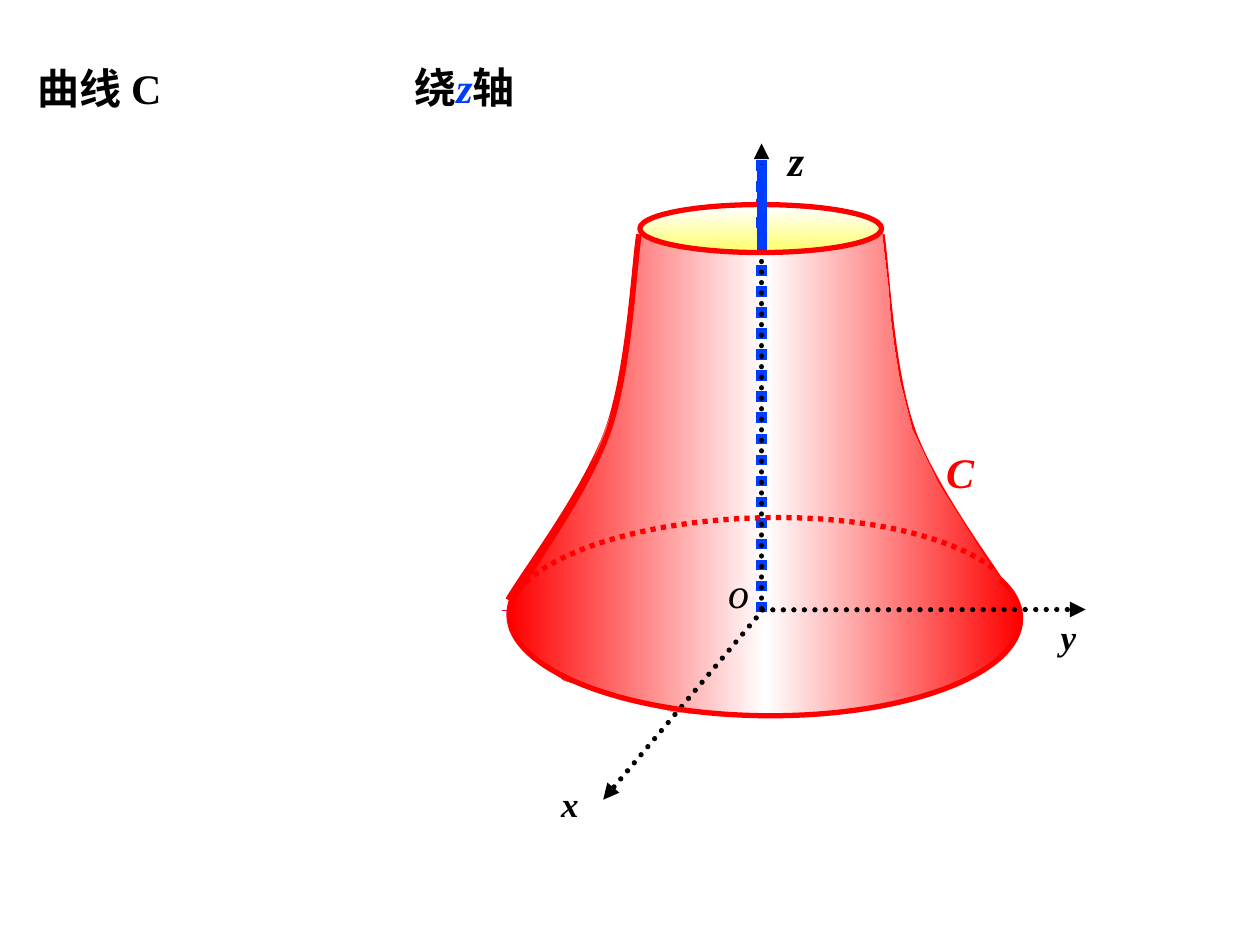
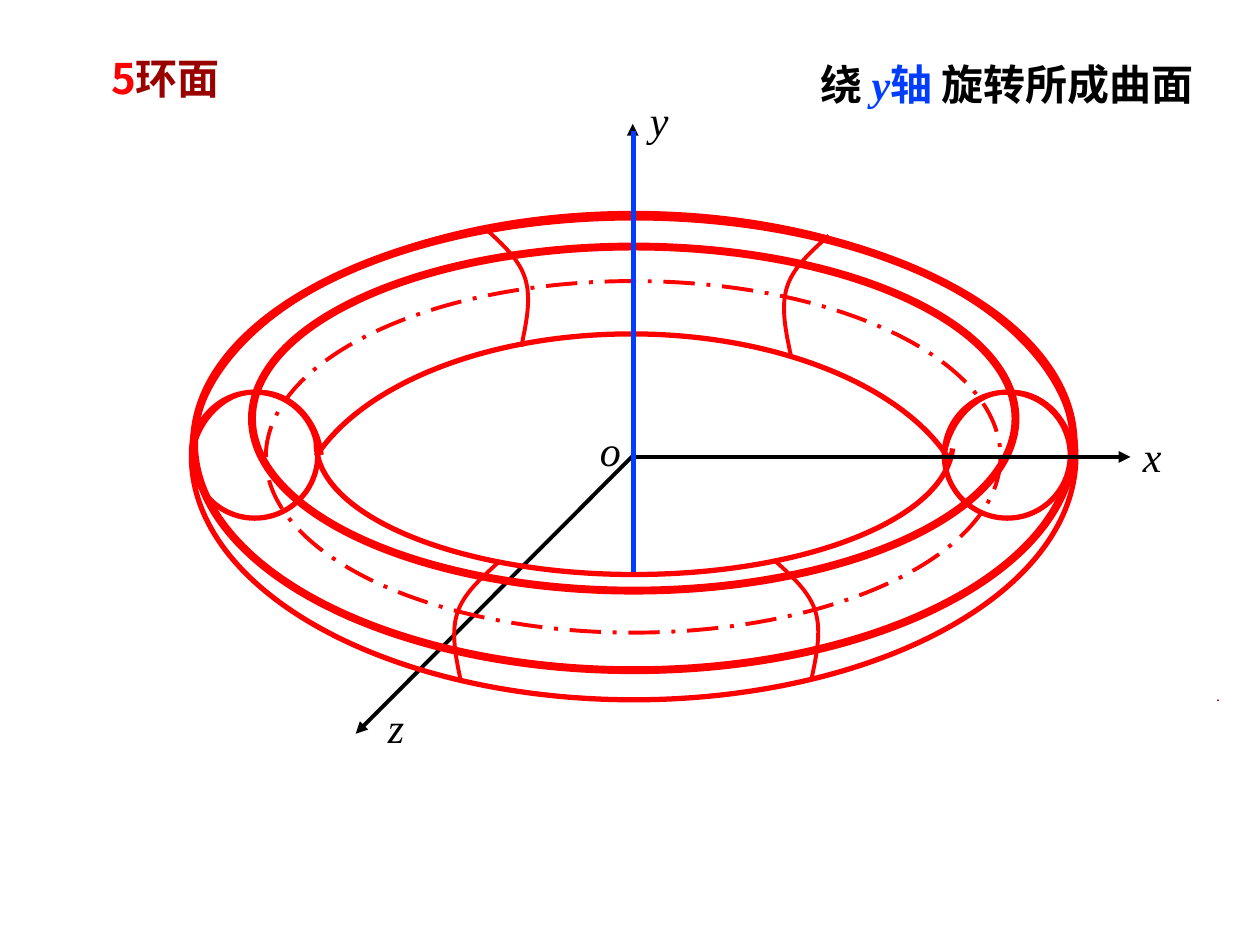
from copy import deepcopy

from lxml import etree
from pptx import Presentation
from pptx.dml.color import RGBColor
from pptx.enum import dml, shapes, text
from pptx.oxml.ns import qn
from pptx.util import Pt

# Shared look
BLACK = RGBColor(0x00, 0x00, 0x00)
WHITE = RGBColor(0xFF, 0xFF, 0xFF)
RED = RGBColor(0xFF, 0x00, 0x00)
DARK_RED = RGBColor(0x99, 0x00, 0x00)
MAGENTA = RGBColor(0xCC, 0x00, 0x66)
BLUE = RGBColor(0x01, 0x3D, 0xFF)
YELLOW = RGBColor(0xFF, 0xFF, 0x66)
SERIF, HAN, SANS = "Times New Roman", "Noto Sans CJK SC", "Arial"
DOTS = dml.MSO_LINE.ROUND_DOT
LONG_DASH_DOT = dml.MSO_LINE.LONG_DASH_DOT
LEFT, CENTER, RIGHT = text.PP_ALIGN.LEFT, text.PP_ALIGN.CENTER, text.PP_ALIGN.RIGHT
TOP, MIDDLE = text.MSO_ANCHOR.TOP, text.MSO_ANCHOR.MIDDLE

# Line styles
OUTLINE = dict(color=RED, width=3)
BOLD_OUTLINE = dict(color=RED, width=4.5)
FINE_OUTLINE = dict(color=RED, width=2.25)
HIDDEN_OUTLINE = dict(color=RED, width=3, dash=DOTS)
CENTRE_LINE = dict(color=RED, width=2.25, dash=LONG_DASH_DOT)
GUIDE = dict(color=MAGENTA, width=0.25)
DOTTED_GUIDE = dict(color=MAGENTA, width=0.25, dash=DOTS)
DOTTED_AXIS = dict(color=BLACK, width=3, dash=DOTS, arrow=True, round_cap=True)
SOLID_AXIS = dict(color=BLACK, width=2.25, arrow=True)
ROTATION_AXIS = dict(color=BLUE, width=6)
HIDDEN_ROTATION_AXIS = dict(color=BLUE, width=6, dash=DOTS)
THIN_ROTATION_AXIS = dict(color=BLUE, width=3)

# Surface of revolution: curves are a start point, then three points per Bezier piece
RIGHT_SIDE = [(504, 134), (506.9, 152.6), (509, 211), (522, 247),
              (535.7, 283), (570.2, 327.6), (583.2, 349.2)]
LEFT_SIDE = [(365, 134), (362.2, 152.6), (359.3, 211.7), (347, 246.2),
             (334.1, 280.8), (302.4, 322.6), (290.2, 342.7)]
LEFT_EDGE = [(365.3, 134), (362.2, 152.6), (360, 211), (347.8, 246.2),
             (335.5, 281.5), (303.1, 324.7), (291.6, 345.2)]
BASE_FRONT = [(571.7, 331.2), (579.6, 338.4), (583.2, 345.6), (583.2, 353.5),
              (583.2, 385.2), (517.7, 409.7), (437, 409),
              (355.7, 408.2), (290.9, 382.3), (290.9, 351.4),
              (290.9, 346.3), (292.3, 342), (295.2, 337.7)]
BASE_BACK = [(567.4, 324.7), (542.9, 306), (491.8, 294.5), (435.6, 295.9),
             (368.6, 297.4), (311, 315.4), (294.5, 339.8)]
BODY = [(365.8, 135.4), (353.5, 226.1), (334.1, 276.5), (306.7, 321.8), (292.3, 346.3),
        (290.9, 360), (298.8, 371.5), (322.6, 388.8), (344.2, 395.3), (385.2, 406.8),
        (432, 410.4), (467.3, 409), (506.2, 403.2), (544.3, 392.4), (565.9, 379.4),
        (577.4, 368.6), (581.8, 360.7), (583.2, 354.2), (581.8, 347.8), (581, 342),
        (563.8, 319.7), (536.4, 276.5), (521.3, 245.5), (514.1, 217.4), (511.2, 199.4),
        (509, 182.9), (507.6, 164.2), (504, 134), (483.1, 141.1), (457.9, 143.3),
        (430.6, 145.4), (404.6, 141.8), (380.9, 139)]

SURFACE_PARTS = [
    ("curve", RIGHT_SIDE, OUTLINE),
    ("curve", LEFT_SIDE, OUTLINE),
    ("line", [(365, 133.2), (503.3, 133.2)], DOTTED_GUIDE),
    ("line", [(286.6, 349), (583.2, 349)], GUIDE),
    ("polygon", BODY, dict(gradient=[RED, WHITE, RED], angle=0)),
    ("line", [(436, 348.5), (344.7, 457)], DOTTED_AXIS),
    ("line", [(435.3, 349.9), (435.3, 88.6)], HIDDEN_ROTATION_AXIS),
    ("ellipse", (365.8, 118.1, 138.2, 26.6), dict(gradient=[WHITE, YELLOW], angle=270)),
    ("line", [(435.2, 130.3), (435.2, 113.8)], HIDDEN_ROTATION_AXIS),
    ("line", [(435.6, 348.5), (620.4, 348.3)], DOTTED_AXIS),
    ("line", [(435.2, 347.8), (435.2, 82)], DOTTED_AXIS),
    ("ellipse", (365.6, 116.9, 138.2, 27.4), OUTLINE),
    ("curve", BASE_FRONT, OUTLINE),
    ("curve", BASE_BACK, HIDDEN_OUTLINE),
    ("curve", LEFT_EDGE, OUTLINE),
    ("line", [(435.4, 142.6), (435.4, 94.3)], ROTATION_AXIS),
]

# Labels: box, alignment, anchor, runs of (words, font, size, colour, bold, italic)
SURFACE_LABELS = [
    ((14.4, 32, 91.4, 36), LEFT, MIDDLE, [("曲线 C", SERIF, 24, BLACK, True, False)]),
    ((229.7, 31.7, 72, 36), LEFT, TOP, [("绕", HAN, 24, BLACK, True, False),
                                        ("z", SERIF, 24, BLUE, True, True),
                                        ("轴", HAN, 24, BLACK, True, False)]),
    ((286.6, 443.8, 51.1, 31), RIGHT, MIDDLE, [("x", SERIF, 20, BLACK, True, True)]),
    ((599, 348, 24.5, 31), LEFT, MIDDLE, [("y", SERIF, 20, BLACK, True, True)]),
    ((403.2, 73.4, 63.4, 36), RIGHT, MIDDLE, [("z", SERIF, 24, BLACK, True, True)]),
    ((409, 320, 52.6, 36), LEFT, TOP, [("o", SERIF, 24, BLACK, False, True)]),
    ((533.5, 251.3, 30.2, 36), CENTER, MIDDLE, [("C", SERIF, 24, RED, True, True)]),
]

# Torus
TUBE_SPACING = 430
MERIDIAN = [(0, 0), (10.1, 9.4), (20.2, 18), (23.8, 29.5),
            (27.4, 41), (24.5, 54.7), (21.6, 68.4)]
MERIDIAN_STARTS = [(442.1, 319.7, 1), (276.3, 129.6, 1),
                   (473.5, 134.6, -1), (285, 321.1, -1)]
TUBE_TOP = [(109.7, 261.4), (112.6, 238.3), (131.3, 221.8), (150.7, 223.9),
            (168, 225.4), (181.7, 240.5), (183.9, 259.9)]
HOLE_BACK = [(180.7, 260.6), (208.8, 218.2), (280.8, 190.8), (360.7, 190.8),
             (442.1, 190.8), (514.8, 219.6), (542.2, 262.1)]
HOLE_FRONT = [(180.7, 252), (180.7, 252), (180.7, 252.7), (180.7, 253.4),
              (180.7, 294.5), (262.1, 328.3), (362.2, 328.3),
              (460.1, 328.3), (540, 296.6), (544.3, 256.3)]


def moved(points, left, top=0, direction=1):
    return [(left + direction * x, top + y) for x, y in points]


TORUS_PARTS = [
    ("line", [(362.2, 259.9), (203.3, 419.3)], SOLID_AXIS),
    *[("ellipse", (109.6 + shift, 224.1, 72, 72), OUTLINE) for shift in (0, TUBE_SPACING)],
    ("ellipse", (110.9, 123.8, 502.6, 259.2), BOLD_OUTLINE),
    ("ellipse", (144, 140.9, 436.3, 196.6), BOLD_OUTLINE),
    ("ellipse", (151.9, 160.6, 419.8, 200.9), CENTRE_LINE),
    ("ellipse", (109.4, 122, 505.4, 277.9), OUTLINE),
    *[("curve", moved(MERIDIAN, *start), FINE_OUTLINE) for start in MERIDIAN_STARTS],
    ("curve", HOLE_BACK, OUTLINE),
    ("curve", HOLE_FRONT, OUTLINE),
    *[("curve", moved(TUBE_TOP, shift), FINE_OUTLINE) for shift in (0, TUBE_SPACING)],
    ("line", [(361.6, 326.9), (361.6, 70.8)], SOLID_AXIS),
    ("line", [(360.7, 261.1), (646, 261.1)], SOLID_AXIS),
    ("line", [(362, 326.9), (362, 74.9)], THIN_ROTATION_AXIS),
]

TORUS_LABELS = [
    ((31.2, 26.2, 126.7, 43.2), CENTER, TOP, [("5", HAN, 24, RED, True, False),
                                              ("环面", SANS, 24, DARK_RED, True, False)]),
    ((461.5, 30.2, 258.5, 36), LEFT, TOP, [("绕 ", SERIF, 24, BLACK, True, False),
                                           ("y", SERIF, 24, BLUE, True, True),
                                           ("轴", SERIF, 24, BLUE, True, False),
                                           (" 旋转所成曲面", SERIF, 24, BLACK, True, False)]),
    *[(box, LEFT, TOP, [(letter, SERIF, 24, BLACK, False, True)]) for letter, box in [
        ("z", (214.6, 397.4, 38.9, 36)), ("y", (364.3, 50.4, 40.3, 36)),
        ("x", (646, 242.6, 31, 36)), ("o", (335.7, 239, 18.7, 36))]],
]
TORUS_TITLE = (".", (690, 388.8, 12.2, 16.6))


def points_to_emu(values):
    return [Pt(value) for value in values]


def bend(shape):
    """Turn every three straight pieces of an outline into one Bezier piece."""
    outline = shape._element.spPr.find(".//" + qn("a:path"))
    pieces = outline.findall(qn("a:lnTo"))
    for first in range(0, len(pieces), 3):
        curve = etree.SubElement(outline, qn("a:cubicBezTo"))
        for piece in pieces[first:first + 3]:
            curve.append(piece[0])
            outline.remove(piece)


def style_line(line, color, width, dash=None, arrow=False, round_cap=False):
    line.color.rgb = color
    line.width = Pt(width)
    if dash is not None:
        line.dash_style = dash
    if round_cap:
        line._get_or_add_ln().set("cap", "rnd")
    if arrow:
        etree.SubElement(line._get_or_add_ln(), qn("a:tailEnd"), type="triangle")


def fill_gradient(shape, colors, angle):
    shape.fill.gradient()
    shape.fill.gradient_angle = angle
    stop_list = shape._element.spPr.find(".//" + qn("a:gsLst"))
    for extra in range(len(colors) - len(stop_list)):
        stop_list.append(deepcopy(stop_list[0]))
    for index, (stop, color) in enumerate(zip(shape.fill.gradient_stops, colors)):
        stop.color.rgb = color
        stop.position = index / (len(colors) - 1)


def add_part(slide, kind, geometry, style):
    if kind == "line":
        start, end = geometry
        connector = slide.shapes.add_connector(
            shapes.MSO_CONNECTOR.STRAIGHT, *points_to_emu(start + end))
        style_line(connector.line, **style)
        etree.SubElement(connector._element.spPr, qn("a:effectLst"))
        return
    if kind == "ellipse":
        shape = slide.shapes.add_shape(shapes.MSO_SHAPE.OVAL, *points_to_emu(geometry))
    else:
        vertices = [points_to_emu(point) for point in geometry]
        builder = slide.shapes.build_freeform(*vertices[0])
        builder.add_line_segments(vertices[1:], close=kind == "polygon")
        shape = builder.convert_to_shape()
        if kind == "curve":
            bend(shape)
    shape.shadow.inherit = False
    if "gradient" in style:
        fill_gradient(shape, style["gradient"], style["angle"])
        shape.line.fill.background()
    else:
        shape.fill.background()
        style_line(shape.line, **style)


def format_run(run, font, size, color, bold, italic):
    run.font.name = font
    run.font.size = Pt(size)
    run.font.color.rgb = color
    run.font.bold = bold
    run.font.italic = italic
    etree.SubElement(run._r.get_or_add_rPr(), qn("a:ea"), typeface=HAN)


def add_label(slide, box, alignment, anchor, runs):
    frame = slide.shapes.add_textbox(*points_to_emu(box)).text_frame
    frame.word_wrap = True
    frame.vertical_anchor = anchor
    paragraph = frame.paragraphs[0]
    paragraph.alignment = alignment
    for words, *look in runs:
        run = paragraph.add_run()
        run.text = words
        format_run(run, *look)


def set_title(slide, words, box):
    title = slide.shapes.title
    title.left, title.top, title.width, title.height = points_to_emu(box)
    frame = title.text_frame
    frame.text = words
    frame.margin_left = frame.margin_right = frame.margin_top = frame.margin_bottom = 0
    frame.vertical_anchor = MIDDLE
    frame.paragraphs[0].alignment = CENTER
    format_run(frame.paragraphs[0].runs[0], SERIF, 9, DARK_RED, False, False)


def add_figure_slide(presentation, parts, labels, title=None):
    layout = presentation.slide_layouts[5 if title else 6]
    slide = presentation.slides.add_slide(layout)
    for part in parts:
        add_part(slide, *part)
    for label in labels:
        add_label(slide, *label)
    if title:
        set_title(slide, *title)


def main():
    presentation = Presentation()
    presentation.slide_width, presentation.slide_height = Pt(720), Pt(540)
    add_figure_slide(presentation, SURFACE_PARTS, SURFACE_LABELS)
    add_figure_slide(presentation, TORUS_PARTS, TORUS_LABELS, TORUS_TITLE)
    presentation.save("out.pptx")


if __name__ == "__main__":
    main()
